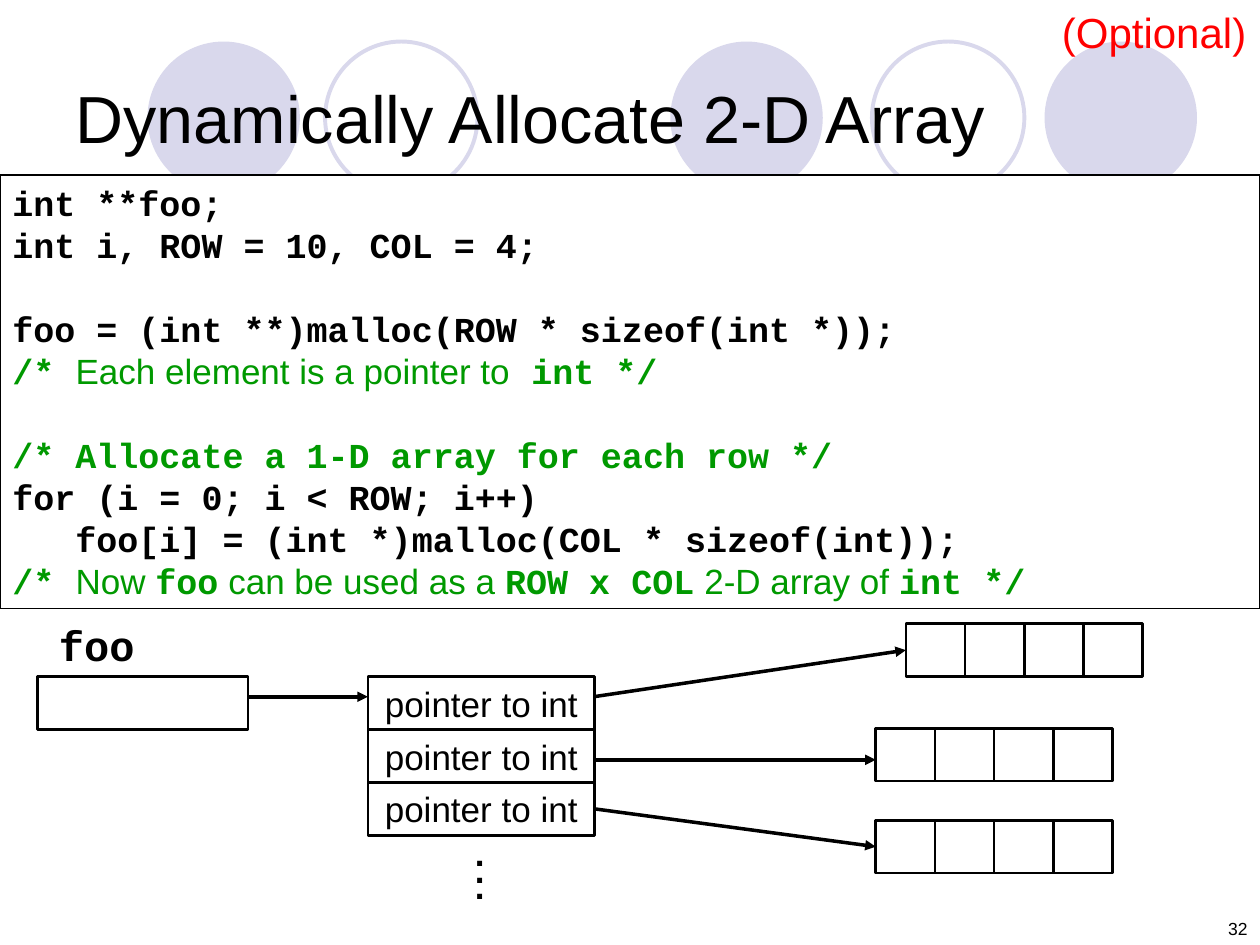
from lxml import etree
from pptx import Presentation
from pptx.dml.color import RGBColor
from pptx.enum.shapes import MSO_CONNECTOR, MSO_SHAPE
from pptx.enum.text import MSO_ANCHOR, MSO_AUTO_SIZE, PP_ALIGN
from pptx.oxml.ns import qn
from pptx.util import Inches, Pt

RECT, OVAL = MSO_SHAPE.RECTANGLE, MSO_SHAPE.OVAL
STRAIGHT = MSO_CONNECTOR.STRAIGHT
TOP, MIDDLE, BOTTOM = MSO_ANCHOR.TOP, MSO_ANCHOR.MIDDLE, MSO_ANCHOR.BOTTOM
LEFT, CENTER, RIGHT = PP_ALIGN.LEFT, PP_ALIGN.CENTER, PP_ALIGN.RIGHT
GROW = MSO_AUTO_SIZE.SHAPE_TO_FIT_TEXT
LEFT_SIDE, RIGHT_SIDE = 1, 3

COLORS = {"ink": "000000", "paper": "FFFFFF", "circle": "D9D8EC",
          "comment": "009900", "optional": "FF0000"}
SANS, MONO = "Arial", "Courier New"


class SlideBuilder:
    def __init__(self, slide):
        self.shapes = slide.shapes

    def color(self, name):
        return RGBColor.from_string(COLORS[name])

    def style(self, font, size, color="ink", face=SANS, bold=False):
        font.name, font.size, font.bold = face, Pt(size), bold
        font.color.rgb = self.color(color)

    def shape(self, kind, left, top, width, height, fill=None, line="ink", weight=1.5):
        shape = self.shapes.add_shape(kind, Inches(left), Inches(top),
                                      Inches(width), Inches(height))
        shape.shadow.inherit = False
        if fill:
            shape.fill.solid()
            shape.fill.fore_color.rgb = self.color(fill)
        else:
            shape.fill.background()
        if line:
            shape.line.color.rgb = self.color(line)
            shape.line.width = Pt(weight)
        else:
            shape.line.fill.background()
        return shape

    def label(self, shape, text, size, align=LEFT, anchor=MIDDLE, spacing=None, **look):
        frame = shape.text_frame
        frame.text = text
        frame.vertical_anchor = anchor
        for paragraph in frame.paragraphs:
            paragraph.alignment = align
            if spacing:
                paragraph.line_spacing = spacing
            for run in paragraph.runs:
                self.style(run.font, size, **look)

    def text(self, left, top, width, height, text, size, wrap=False, **look):
        box = self.shapes.add_textbox(Inches(left), Inches(top),
                                      Inches(width), Inches(height))
        box.text_frame.word_wrap = wrap
        if not wrap:
            box.text_frame.auto_size = GROW
        self.label(box, text, size, **look)

    def code(self, box, lines, size, gap):
        frame = box.text_frame
        frame.word_wrap = True
        frame.auto_size = GROW
        frame.vertical_anchor = TOP
        for number, (starts_block, color, parts) in enumerate(lines):
            paragraph = frame.add_paragraph() if number else frame.paragraphs[0]
            paragraph.alignment = LEFT
            if starts_block:
                paragraph.space_before = Pt(gap)
            # Parts alternate between code and prose
            for index, part in enumerate(parts):
                run = paragraph.add_run()
                run.text = part
                is_code = index % 2 == 0
                self.style(run.font, size, color, MONO if is_code else SANS, is_code)

    def cells(self, left, top, width, height, count):
        return [self.shape(RECT, left + i * width, top, width, height)
                for i in range(count)]

    def arrow(self, start, end, source=None, target=None):
        x1, y1, x2, y2 = map(Inches, (*start, *end))
        arrow = self.shapes.add_connector(STRAIGHT, x1, y1, x2, y2)
        if source:
            arrow.begin_connect(source, RIGHT_SIDE)
        if target:
            arrow.end_connect(target, LEFT_SIDE)
        arrow.line.color.rgb = self.color("ink")
        arrow.line.width = Pt(2)
        properties = arrow._element.spPr
        etree.SubElement(properties.find(qn("a:ln")), qn("a:tailEnd"), type="triangle")
        etree.SubElement(properties, qn("a:effectLst"))


# Each line: starts a new block, colour, alternating code and prose
CODE = [
    (False, "ink", ["int **foo;"]),
    (False, "ink", ["int i, ROW = 10, COL = 4;"]),
    (True, "ink", ["foo = (int **)malloc(ROW * sizeof(int *));"]),
    (False, "comment", ["/* ", "Each element is a pointer to", " int */"]),
    (True, "comment", ["/* Allocate a 1-D array for each row */"]),
    (False, "ink", ["for (i = 0; i < ROW; i++)"]),
    (False, "ink", ["   foo[i] = (int *)malloc(COL * sizeof(int));"]),
    (False, "comment", ["/* ", "Now ", "foo", " can be used as a ", "ROW x COL",
                        " 2-D array of ", "int */"]),
]


def main():
    prs = Presentation()
    prs.slide_width, prs.slide_height = Inches(10), Inches(7.5)
    page = SlideBuilder(prs.slides.add_slide(prs.slide_layouts[6]))

    # Background circles
    for left in (5.32, 8.29, 1.17):
        page.shape(OVAL, left, 0.33, 1.21, 1.21, fill="circle", line=None)
    for left in (6.92, 2.58):
        page.shape(OVAL, left, 0.33, 1.21, 1.21, line="circle", weight=2.25)

    # Slide number, code and title
    page.text(7.67, 7, 2.33, 0.5, "32", 10, wrap=True, align=RIGHT, anchor=BOTTOM)
    listing = page.shape(RECT, 0, 1.39, 10, 3.44, fill="paper", weight=0.75)
    page.code(listing, CODE, size=20, gap=24)
    page.text(0.5, 0.3, 9, 1.25, "Dynamically Allocate 2-D Array", 38, wrap=True)

    # Variable foo and its array of row pointers
    cell_height = 0.42
    page.shape(RECT, 0.3, 5.37, 1.67, cell_height)
    page.text(0.37, 4.87, 0.8, 0.5, "foo", 24, anchor=TOP, face=MONO, bold=True)
    pointers = []
    for i in range(3):
        pointer = page.shape(RECT, 2.92, 5.37 + i * cell_height, 1.8, cell_height)
        page.label(pointer, "pointer to int", 20, align=CENTER)
        pointer.text_frame.word_wrap = False
        pointers.append(pointer)
    page.text(3.67, 6.72, 0.28, 0.5, ".\n.\n.", 20, anchor=TOP, spacing=0.4, bold=True)

    # Rows of four integers
    rows = [page.cells(left, top, 0.47, cell_height, 4)
            for left, top in ((7.19, 4.95), (6.95, 5.78), (6.95, 6.51))]

    # Pointer arrows
    page.arrow((1.97, 5.53), (2.92, 5.53))
    page.arrow((4.71, 5.53), (7.19, 5.16), target=rows[0][0])
    page.arrow((4.71, 6.03), (6.95, 6.03))
    page.arrow((4.71, 6.44), (6.95, 6.72), source=pointers[2], target=rows[2][0])

    # Optional mark
    page.text(8.33, 0, 1.67, 0.5, "(Optional)", 24, anchor=TOP, color="optional")

    prs.save("out.pptx")


if __name__ == "__main__":
    main()
